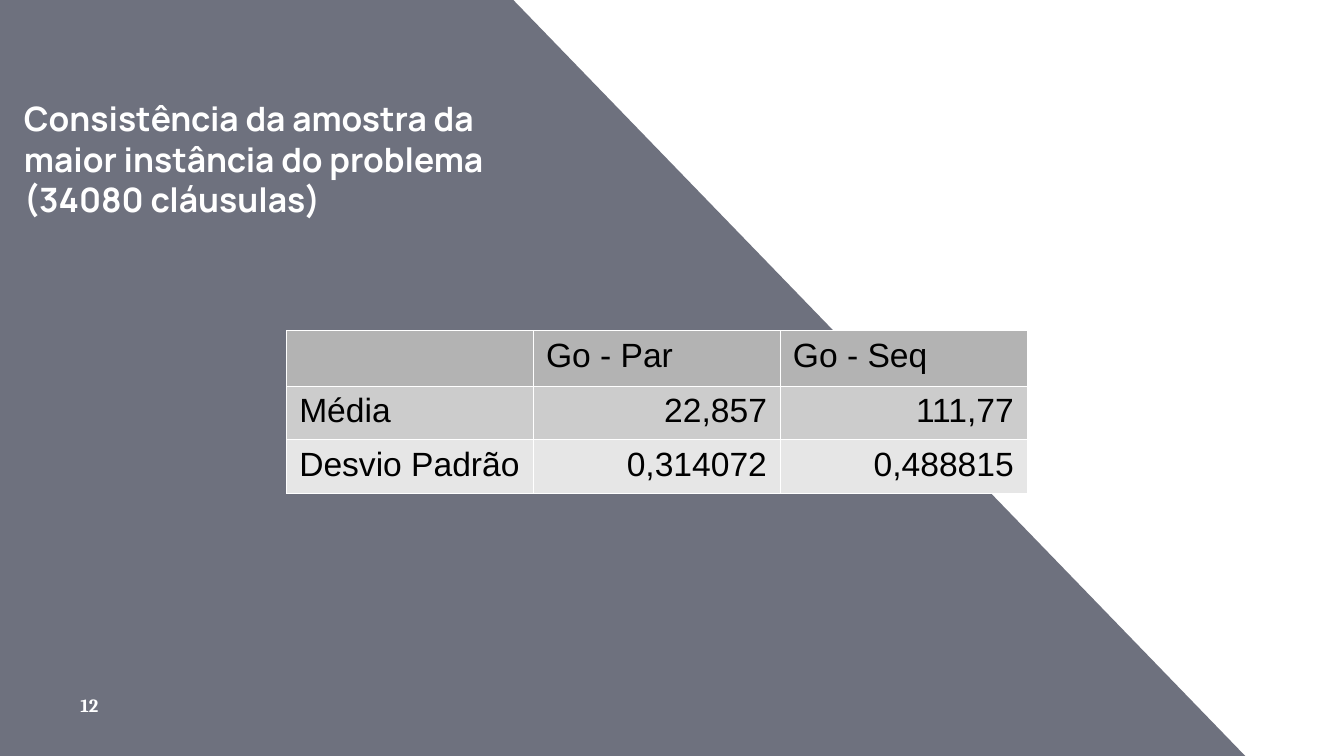
from lxml import etree
from pptx import Presentation
from pptx.dml.color import RGBColor
from pptx.enum.text import MSO_ANCHOR, PP_ALIGN
from pptx.oxml.ns import qn
from pptx.util import Inches, Pt

MIDDLE, BOTTOM = MSO_ANCHOR.MIDDLE, MSO_ANCHOR.BOTTOM
LEFT, RIGHT = PP_ALIGN.LEFT, PP_ALIGN.RIGHT
COLORS = {"navy": "212539", "white": "FFFFFF", "black": "000000"}
ROW_FILLS = ["B3B3B3", "CCCCCC", "E6E6E6"]
ROWS = [
    ["", "Go - Par", "Go - Seq"],
    ["Média", "22,857", "111,77"],
    ["Desvio Padrão", "0,314072", "0,488815"],
]


def rgb(name):
    return RGBColor.from_string(COLORS[name])


def set_font(par, name, size, color, bold=False):
    font = par.font
    font.name, font.size, font.bold = name, Pt(size), bold
    font.color.rgb = rgb(color)


def add_panel(slide, left, top, width, height):
    """Translucent panel with a slanted right edge."""
    points = [(0, 0), (0, height), (width, height)]
    pen = slide.shapes.build_freeform(
        Inches(left + 3.81), Inches(top), scale=1.0)
    pen.add_line_segments(
        [(Inches(left + x), Inches(top + y)) for x, y in points], close=True)
    panel = pen.convert_to_shape()
    panel.shadow.inherit = False
    panel.line.fill.background()
    panel.fill.solid()
    panel.fill.fore_color.rgb = rgb("navy")
    color = panel.fill._xPr.find(qn("a:solidFill"))[0]
    etree.SubElement(color, qn("a:alpha"), val="65000")


def add_label(slide, box, text, name, size, anchor):
    shape = slide.shapes.add_textbox(*map(Inches, box))
    frame = shape.text_frame
    frame.word_wrap = True
    frame.vertical_anchor = anchor
    frame.margin_left = frame.margin_right = Inches(0.1)
    frame.margin_top = frame.margin_bottom = Inches(0.1)
    par = frame.paragraphs[0]
    par.text = text
    set_font(par, name, size, "white", bold=True)


def add_borders(cell):
    props = cell._tc.get_or_add_tcPr()
    for spot, side in enumerate(("lnL", "lnR", "lnT", "lnB")):
        line = etree.Element(qn(f"a:{side}"), w=str(Pt(0.06)))
        fill = etree.SubElement(line, qn("a:solidFill"))
        etree.SubElement(fill, qn("a:srgbClr"), val=COLORS["white"])
        props.insert(spot, line)


def add_stats(slide, left, top, width, height):
    """Table of mean and deviation for each version."""
    count = len(ROWS[0])
    table = slide.shapes.add_table(
        len(ROWS), count, *map(Inches, (left, top, width, height))).table
    for col in table.columns:
        col.width = Inches(width / count)
    for row, size in zip(table.rows, (0.41, 0.4, 0.4)):
        row.height = Inches(size)
    for r, values in enumerate(ROWS):
        for c, value in enumerate(values):
            cell = table.cell(r, c)
            cell.margin_left = cell.margin_right = Pt(7)
            cell.fill.solid()
            cell.fill.fore_color.rgb = RGBColor.from_string(ROW_FILLS[r])
            add_borders(cell)
            par = cell.text_frame.paragraphs[0]
            par.text = value
            par.alignment = RIGHT if r and c else LEFT
            set_font(par, "Arial", 18, "black")


def main():
    deck = Presentation()
    deck.slide_width = Inches(10)
    deck.slide_height = deck.slide_width * 9 // 16
    slide = deck.slides.add_slide(deck.slide_layouts[6])

    # Background panel
    add_panel(slide, 0, -0.01, 9.27, 5.64)
    # Slide number
    add_label(slide, (0.5, 5.11, 0.6, 0.27), "12", "Cambria", 10, MIDDLE)
    # Results
    add_stats(slide, 2.13, 2.46, 5.51, 1.21)
    # Title
    title = ("Consistência da amostra da maior instância do problema "
             "(34080 cláusulas)")
    add_label(slide, (0.08, 1.04, 4.26, 0.69), title, "Manrope", 18, BOTTOM)

    deck.save("out.pptx")


if __name__ == "__main__":
    main()
